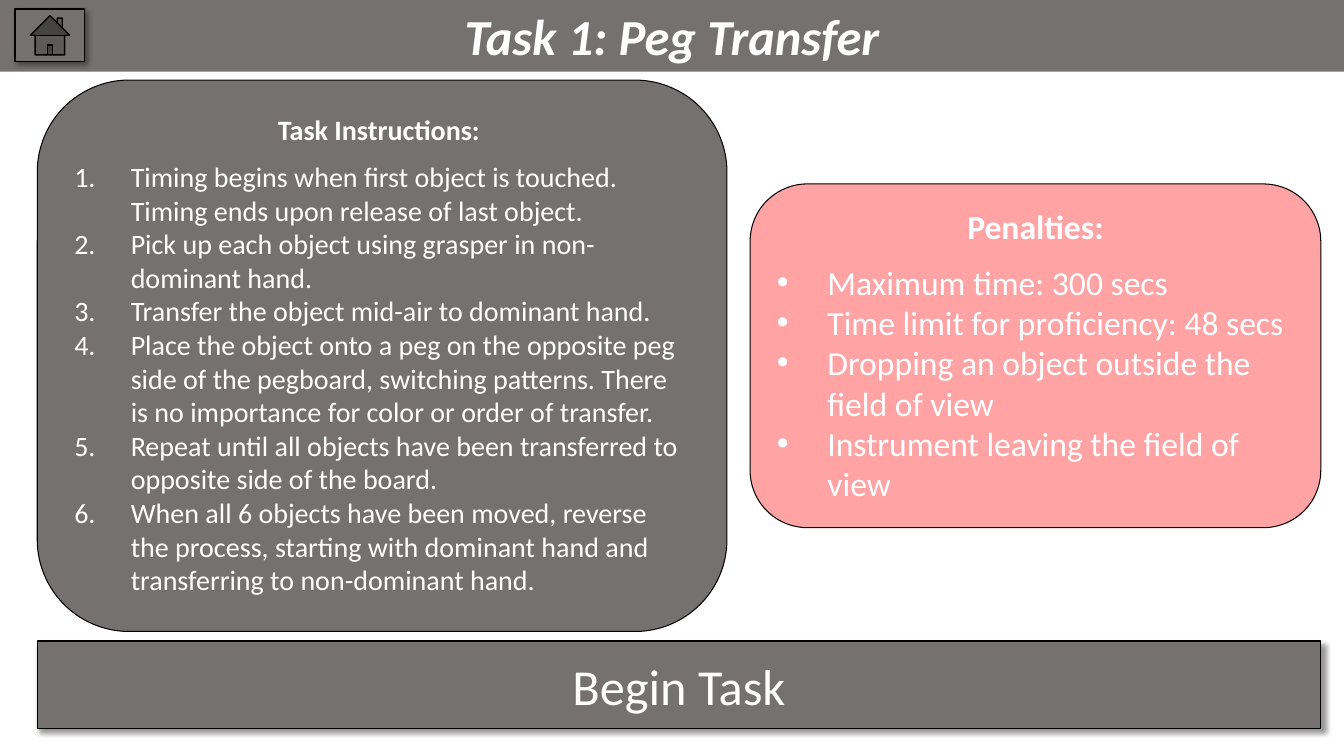
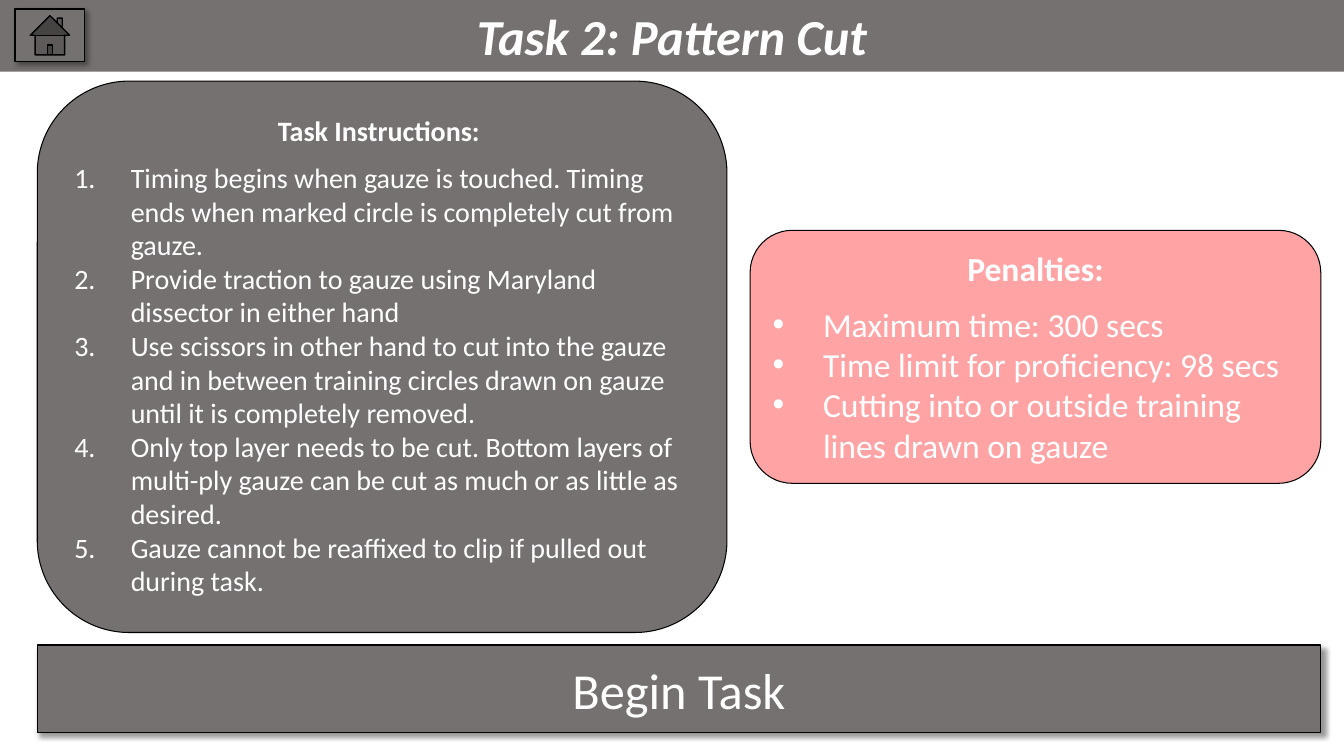
import pptx
import pptx.util
import pptx.dml.color
import pptx.enum.shapes
import pptx.enum.text
import pptx.oxml.ns
import lxml.etree

Inches = pptx.util.Inches
Pt = pptx.util.Pt
SHAPE = pptx.enum.shapes.MSO_SHAPE
CENTER = pptx.enum.text.PP_ALIGN.CENTER
ANCHOR = pptx.enum.text.MSO_ANCHOR
GRAY, PINK, WHITE, BLACK = "767171", "FF7C80", "FFFFFF", "000000"
FONT = "Calibri"
WIDE, HIGH = 13.33, 7.5
LEFT, RIGHT = 0.37, 13.1
ROUND = 0.16667
CORNER = 0.29289

STEPS = {"head": "Task Instructions: ", "size": 20, "gap": 9.8, "indent": 0.56,
         "mark": ("buAutoNum", {"type": "arabicPeriod"}),
         "fill": GRAY, "alpha": 100, "left": LEFT, "wide": 6.84}
FAULTS = {"head": "Penalties:", "size": 24, "gap": 11, "indent": 0.5,
          "mark": ("buChar", {"char": "•"}),
          "fill": PINK, "alpha": 70, "left": 7.44, "wide": 5.66}

TASKS = [
    {"title": "Task 1: Peg Transfer", "middle": 3.53, "button": 6.36,
     "heights": (5.47, 3.41),
     "steps": [
         "Timing begins when first object is touched. Timing ends upon release of last object.",
         "Pick up each object using grasper in non-dominant hand.",
         "Transfer the object mid-air to dominant hand.",
         "Place the object onto a peg on the opposite peg side of the pegboard, switching patterns. "
         "There is no importance for color or order of transfer.",
         "Repeat until all objects have been transferred to opposite side of the board.",
         "When all 6 objects have been moved, reverse the process, starting with dominant hand "
         "and transferring to non-dominant hand."],
     "faults": [
         "Maximum time: 300 secs",
         "Time limit for proficiency: 48 secs",
         "Dropping an object outside the field of view",
         "Instrument leaving the field of view"]},
    {"title": "Task 2: Pattern Cut", "middle": 3.54, "button": 6.4,
     "heights": (5.47, 2.51),
     "steps": [
         "Timing begins when gauze is touched. Timing ends when marked circle is completely "
         "cut from gauze.",
         "Provide traction to gauze using Maryland dissector in either hand",
         "Use scissors in other hand to cut into the gauze and in between training circles drawn "
         "on gauze until it is completely removed.",
         "Only top layer needs to be cut. Bottom layers of multi-ply gauze can be cut as much or "
         "as little as desired.",
         "Gauze cannot be reaffixed to clip if pulled out during task."],
     "faults": [
         "Maximum time: 300 secs",
         "Time limit for proficiency: 98 secs",
         "Cutting into or outside training lines drawn on gauze"]},
]


def color(code):
    return pptx.dml.color.RGBColor.from_string(code)


def child(parent, tag, **attrs):
    return lxml.etree.SubElement(parent, pptx.oxml.ns.qn("a:" + tag), attrs)


def paint(shape, code):
    shape.fill.solid()
    shape.fill.fore_color.rgb = color(code)


def place(shape, left, top, wide, high):
    shape.left, shape.top = Inches(left), Inches(top)
    shape.width, shape.height = Inches(wide), Inches(high)


def style(para, size, bold=False, italic=False):
    for run in para.runs:
        font = run.font
        font.name, font.size = FONT, Pt(size)
        font.bold, font.italic = bold, italic
        font.color.rgb = color(WHITE)


def draw(slide, kind, box, fill, weight):
    shape = slide.shapes.add_shape(kind, *[Inches(n) for n in box])
    paint(shape, fill)
    shape.line.color.rgb = color(BLACK)
    shape.line.width = Pt(weight)
    shape.shadow.inherit = False
    return shape


def button(slide, kind, box):
    shape = draw(slide, kind, box, GRAY, 1)
    effect = shape.element.spPr.find(pptx.oxml.ns.qn("a:effectLst"))
    cast = child(effect, "outerShdw", blurRad=str(Pt(4)), dist=str(Pt(3)),
                 dir="2700000", algn="tl", rotWithShape="0")
    child(child(cast, "srgbClr", val=BLACK), "alpha", val="40000")
    return shape


def banner(title, words):
    place(title, 0, 0, WIDE, 0.71)
    paint(title, GRAY)
    frame = title.text_frame
    frame.text = words
    frame.auto_size = pptx.enum.text.MSO_AUTO_SIZE.NONE
    frame.vertical_anchor = ANCHOR.MIDDLE
    frame.paragraphs[0].alignment = CENTER
    style(frame.paragraphs[0], 36, True, True)


def panel(slide, body, look, items, middle, high):
    top = middle - high / 2
    card = draw(slide, SHAPE.ROUNDED_RECTANGLE,
                (look["left"], top, look["wide"], high), look["fill"], 0.75)
    if look["alpha"] < 100:
        tone = card.element.spPr.find(".//" + pptx.oxml.ns.qn("a:srgbClr"))
        child(tone, "alpha", val=str(look["alpha"] * 1000))
    body.element.addprevious(card.element)

    inset = CORNER * ROUND * high
    place(body, look["left"] + inset, top + inset, look["wide"] - 2 * inset, high - 2 * inset)
    frame = body.text_frame
    frame.text = "\n".join([look["head"]] + items)
    frame.auto_size = pptx.enum.text.MSO_AUTO_SIZE.NONE
    frame.vertical_anchor = ANCHOR.TOP
    for i, para in enumerate(frame.paragraphs):
        head = i == 0
        para.space_before = Pt(0)
        para.space_after = Pt(look["gap"] if head else 0)
        para.alignment = CENTER if head else pptx.enum.text.PP_ALIGN.LEFT
        style(para, look["size"], bold=head)
        props = para._p.get_or_add_pPr()
        indent = 0 if head else Inches(look["indent"])
        props.set("marL", str(indent))
        props.set("indent", str(-indent))
        if head:
            child(props, "buNone")
        else:
            tag, attrs = look["mark"]
            child(props, "buFont", typeface="Arial" if tag == "buChar" else "+mj-lt")
            child(props, tag, **attrs)


def build(deck, task):
    slide = deck.slides.add_slide(deck.slide_layouts[3])
    title, first, second = slide.placeholders
    banner(title, task["title"])
    for body, look, key, high in zip((first, second), (STEPS, FAULTS),
                                     ("steps", "faults"), task["heights"]):
        panel(slide, body, look, task[key], task["middle"], high)
    begin = button(slide, SHAPE.ACTION_BUTTON_CUSTOM, (LEFT, task["button"], RIGHT - LEFT, 0.87))
    begin.text_frame.text = "Begin Task"
    begin.text_frame.vertical_anchor = ANCHOR.MIDDLE
    begin.text_frame.paragraphs[0].alignment = CENTER
    style(begin.text_frame.paragraphs[0], 36)
    button(slide, SHAPE.ACTION_BUTTON_HOME, (0.15, 0.09, 0.69, 0.52))


def main():
    """Build the task slides and save them."""
    deck = pptx.Presentation()
    deck.slide_width, deck.slide_height = Inches(WIDE), Inches(HIGH)
    for task in TASKS:
        build(deck, task)
    deck.save("out.pptx")


if __name__ == "__main__":
    main()
